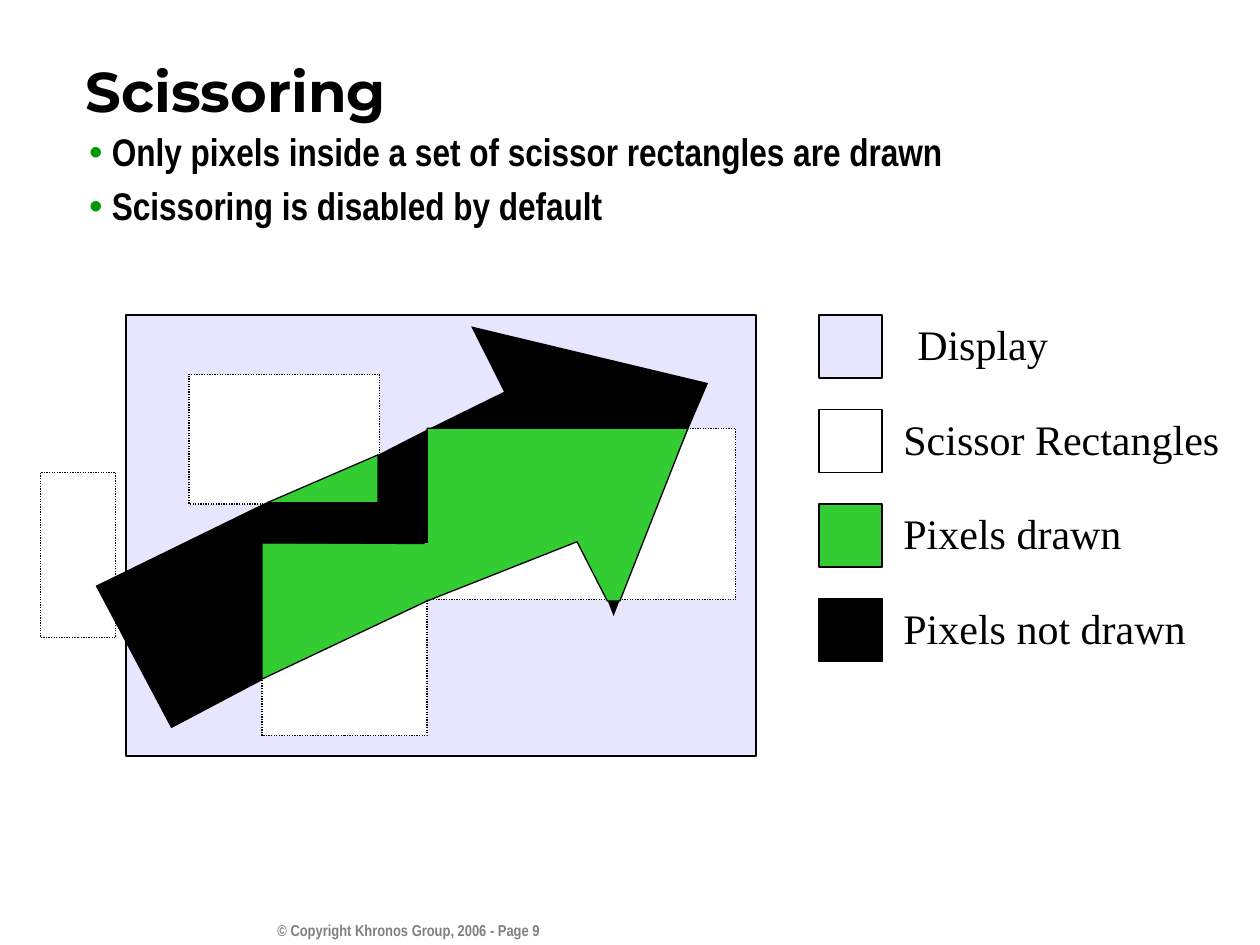
from dataclasses import dataclass

from lxml.etree import SubElement
from pptx import Presentation
from pptx.dml.color import RGBColor as RGB
from pptx.enum.dml import MSO_LINE as LineStyle
from pptx.enum.shapes import MSO_SHAPE as Preset
from pptx.enum.text import MSO_ANCHOR as Anchor, PP_ALIGN as Align
from pptx.oxml.ns import qn
from pptx.util import Inches, Pt


@dataclass(frozen=True)
class Theme:
    display: str = "E6E6FF"
    scissor: str = "FFFFFF"
    drawn: str = "33CC33"
    not_drawn: str = "000000"
    ink: str = "000000"
    bullet: str = "009900"
    footer: str = "808080"
    title_font: str = "Montserrat"
    body_font: str = "Arial Narrow"
    legend_font: str = "Times New Roman"
    title_size: float = 32
    body_size: float = 22
    legend_size: float = 24
    footer_size: float = 9
    line_width: float = 0.75


THEME = Theme()

TITLE = "Scissoring"
BULLETS = [
    ("Only pixels inside a set of scissor rectangles are drawn", 0.93),
    ("Scissoring is disabled by default", 0.91),
]
FOOTER = "© Copyright Khronos Group, 2006 - Page 9"

DISPLAY_BOX = (1, 2.5, 5, 3.5)
SCISSOR_BOXES = [
    (1.5, 2.97, 1.51, 1.03),
    (2.08, 4.31, 1.31, 1.53),
    (3.39, 3.4, 2.45, 1.36),
    (0.32, 3.75, 0.6, 1.31),
]
SEAM_BOX = (3.37, 4.31, 0.03, 0.45)

ARROW_PARTS = [
    (THEME.drawn, [(2.08, 5.39), (3.39, 4.77), (3.65, 4.31), (2.08, 4.31)]),
    (THEME.not_drawn, [(4.82, 4.76), (4.87, 4.89), (4.99, 4.58)]),
    (THEME.not_drawn, [(5.62, 3.04), (3.74, 2.59), (4, 3.11), (3.39, 3.41), (5.32, 3.74)]),
    (THEME.drawn, [(3.39, 4.77), (4.58, 4.3), (4.82, 4.77), (4.92, 4.77),
                   (5.46, 3.4), (3.39, 3.4)]),
    (THEME.not_drawn, [(0.76, 4.65), (1.36, 5.78), (2.08, 5.4), (2.08, 4.31),
                       (3.39, 4.32), (3.39, 3.41), (3, 3.61), (3, 3.99), (2.11, 3.99)]),
    (THEME.drawn, [(2.12, 3.99), (3, 3.99), (3, 3.61)]),
]

LEGEND = [
    ("Display", THEME.display, 7.28),
    ("Scissor Rectangles", THEME.scissor, 7.17),
    ("Pixels drawn", THEME.drawn, 7.17),
    ("Pixels not drawn", THEME.not_drawn, 7.17),
]
LEGEND_LEFT, LEGEND_TOP, LEGEND_STEP, SWATCH = 6.5, 2.5, 0.75, 0.5


def style_runs(paragraph, font_name, size, color, bold=False):
    for run in paragraph.runs:
        run.font.name = font_name
        run.font.size = Pt(size)
        run.font.bold = bold
        run.font.color.rgb = RGB.from_string(color)


def paint(shape, fill, outlined=True, dotted=False):
    shape.shadow.inherit = False
    shape.fill.solid()
    shape.fill.fore_color.rgb = RGB.from_string(fill)
    if not outlined:
        shape.line.fill.background()
        return
    shape.line.color.rgb = RGB.from_string(THEME.ink)
    shape.line.width = Pt(THEME.line_width)
    if dotted:
        shape.line.dash_style = LineStyle.ROUND_DOT


def add_box(slide, box, fill, **outline):
    shape = slide.shapes.add_shape(Preset.RECTANGLE, *map(Inches, box))
    paint(shape, fill, **outline)


def add_polygon(slide, points, fill):
    start, *others = [(Inches(x), Inches(y)) for x, y in points]
    builder = slide.shapes.build_freeform(*start, scale=1.0)
    builder.add_line_segments(others, close=True)
    paint(builder.convert_to_shape(), fill, outlined=fill == THEME.drawn)


def add_text(slide, box, text, spacing, wrap=True, margin=None):
    frame = slide.shapes.add_textbox(*map(Inches, box)).text_frame
    frame.word_wrap = wrap
    if margin is not None:
        frame.margin_left = frame.margin_right = Inches(margin)
        frame.margin_top = frame.margin_bottom = Inches(margin)
    frame.text = text
    for paragraph in frame.paragraphs:
        paragraph.line_spacing = spacing
    return frame


def add_bullet(paragraph):
    properties = paragraph._p.get_or_add_pPr()
    properties.set("marL", str(Inches(0.18)))
    properties.set("indent", str(-Inches(0.18)))
    color = SubElement(properties, qn("a:buClr"))
    SubElement(color, qn("a:srgbClr"), val=THEME.bullet)
    SubElement(properties, qn("a:buFont"), typeface="Arial")
    SubElement(properties, qn("a:buChar"), char="•")


def add_title(slide):
    title = slide.shapes.title
    title.left, title.top, title.width, title.height = map(Inches, (0.58, 0.35, 9.37, 0.73))
    frame = title.text_frame
    frame.text = TITLE
    frame.vertical_anchor = Anchor.MIDDLE
    paragraph = frame.paragraphs[0]
    paragraph.alignment = Align.LEFT
    style_runs(paragraph, THEME.title_font, THEME.title_size, THEME.ink, bold=True)


def add_bullets(slide):
    text = "\n".join(line for line, _ in BULLETS)
    frame = add_text(slide, (0.61, 1, 9.39, 6.11), text, 1)
    for index, (paragraph, (_, spacing)) in enumerate(zip(frame.paragraphs, BULLETS)):
        paragraph.line_spacing = spacing
        if index:
            paragraph.space_before = Pt(6.9)
        add_bullet(paragraph)
        style_runs(paragraph, THEME.body_font, THEME.body_size, THEME.ink, bold=True)


def add_footer(slide):
    frame = add_text(slide, (2, 7.27, 2.38, 0.24), FOOTER, 0.93)
    paragraph = frame.paragraphs[0]
    paragraph.alignment = Align.RIGHT
    style_runs(paragraph, THEME.body_font, THEME.footer_size, THEME.footer, bold=True)


def add_legend(slide):
    for row, (label, fill, label_left) in enumerate(LEGEND):
        top = LEGEND_TOP + row * LEGEND_STEP
        add_box(slide, (LEGEND_LEFT, top, SWATCH, SWATCH), fill)
        frame = add_text(slide, (label_left, top + 0.06, 2.62, 0.38), label, 0.95,
                         wrap=False, margin=0)
        style_runs(frame.paragraphs[0], THEME.legend_font, THEME.legend_size, THEME.ink)


def main():
    presentation = Presentation()
    presentation.slide_width, presentation.slide_height = Inches(10), Inches(7.5)
    slide = presentation.slides.add_slide(presentation.slide_layouts[5])
    add_footer(slide)
    add_title(slide)
    add_bullets(slide)
    add_box(slide, DISPLAY_BOX, THEME.display)
    for box in SCISSOR_BOXES:
        add_box(slide, box, THEME.scissor, dotted=True)
    for fill, points in ARROW_PARTS:
        add_polygon(slide, points, fill)
    add_box(slide, SEAM_BOX, THEME.drawn, outlined=False)
    add_legend(slide)
    presentation.save("out.pptx")


if __name__ == "__main__":
    main()
